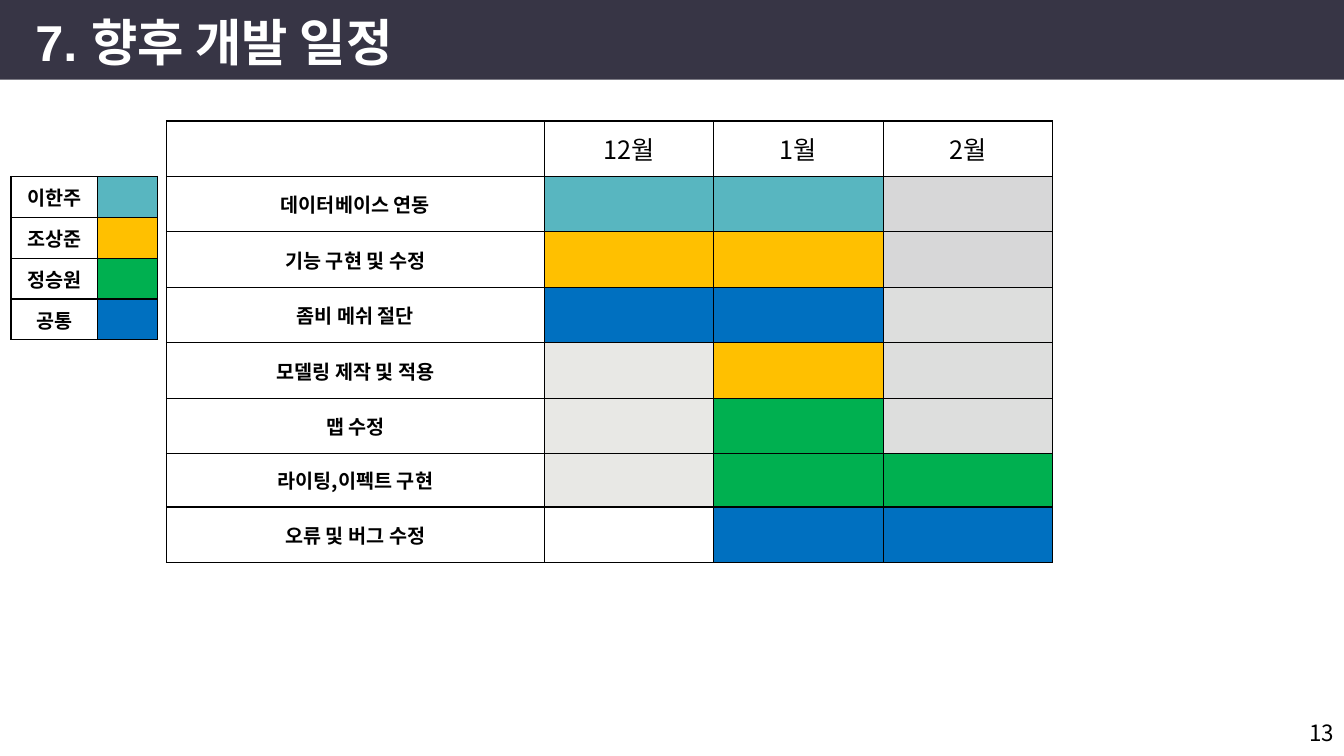
"""Build the development schedule slide with its owner legend."""
import pptx
import pptx.dml.color
import pptx.enum.shapes
import pptx.enum.text
import pptx.oxml
import pptx.oxml.ns
import pptx.util

ANCHOR = pptx.enum.text.MSO_ANCHOR
ALIGN = pptx.enum.text.PP_ALIGN
Inches = pptx.util.Inches
KOREAN = "Noto Sans CJK KR"
TEAL, AMBER, GREEN, BLUE = "58B6C0", "FFC000", "00B050", "0070C0"
SILVER, LIGHT, PALE = "D7D7D8", "DDDEDD", "E8E8E5"


def paint(target, color):
    target.rgb = pptx.dml.color.RGBColor.from_string(color)


def write(frame, text, size=14, font=KOREAN, color="000000", bold=False,
          align=ALIGN.CENTER, anchor=ANCHOR.MIDDLE):
    frame.vertical_anchor = anchor
    para = frame.paragraphs[0]
    para.alignment = align
    span = para.add_run()
    span.text = text
    span.font.size = pptx.util.Pt(size)
    span.font.bold = bold
    span.font.name = font
    paint(span.font.color, color)
    east_asian = pptx.oxml.parse_xml(
        f'<a:ea {pptx.oxml.ns.nsdecls("a")} typeface="{KOREAN}"/>')
    span.font._element.find(pptx.oxml.ns.qn("a:latin")).addnext(east_asian)


deck = pptx.Presentation()
deck.slide_width, deck.slide_height = Inches(13.33), Inches(7.5)
page = deck.slides.add_slide(deck.slide_layouts[5])

banner = page.shapes.add_shape(
    pptx.enum.shapes.MSO_SHAPE.RECTANGLE, 0, 0, deck.slide_width, Inches(0.79))
banner.shadow.inherit = False
banner.fill.solid()
paint(banner.fill.fore_color, "373545")
banner.line.fill.background()

title = page.shapes.title
banner._element.addnext(title._element)
title.left, title.top = Inches(0.25), Inches(0.06)
title.width, title.height = Inches(4.07), Inches(0.71)
title.text_frame.word_wrap = False
title.text_frame.auto_size = pptx.enum.text.MSO_AUTO_SIZE.NONE
write(title.text_frame, "7. 향후 개발 일정", size=36, font="Arial",
      color="FFFFFF", bold=True, align=ALIGN.LEFT, anchor=ANCHOR.TOP)

schedule = [
    ("데이터베이스 연동", TEAL, TEAL, SILVER),
    ("기능 구현 및 수정", AMBER, AMBER, SILVER),
    ("좀비 메쉬 절단", BLUE, BLUE, LIGHT),
    ("모델링 제작 및 적용", PALE, AMBER, LIGHT),
    ("맵 수정", PALE, GREEN, LIGHT),
    ("라이팅,이펙트 구현", PALE, GREEN, GREEN),
    ("오류 및 버그 수정", None, BLUE, BLUE),
]
header = (None, None, None, None)
legend = [("이한주", TEAL), ("조상준", AMBER), ("정승원", GREEN), ("공통", BLUE)]
grids = [
    ([header] + schedule, 1.65, 1.2, [3.75, 1.68, 1.68, 1.68], [0.55] * 6 + [0.53, 0.55]),
    (legend, 0.11, 1.75, [0.86, 0.59], [0.405] * 4),
]

tables = []
for records, left, top, widths, heights in grids:
    table = page.shapes.add_table(
        len(heights), len(widths), Inches(left), Inches(top),
        Inches(sum(widths)), Inches(sum(heights))).table
    table.first_row = table.horz_banding = False
    for column, width in zip(table.columns, widths):
        column.width = Inches(width)
    for row, height, (label, *colors) in zip(table.rows, heights, records):
        row.height = Inches(height)
        for cell, color in zip(row.cells, [None, *colors]):
            borders = cell._tc.get_or_add_tcPr()
            for side in "LRTB":
                borders.append(pptx.oxml.parse_xml(
                    f'<a:ln{side} {pptx.oxml.ns.nsdecls("a")} w="12700"><a:solidFill>'
                    f'<a:srgbClr val="000000"/></a:solidFill></a:ln{side}>'))
            if color:
                cell.fill.solid()
                paint(cell.fill.fore_color, color)
            else:
                cell.fill.background()
        if label:
            row.cells[0].vertical_anchor = ANCHOR.MIDDLE
            write(row.cells[0].text_frame, label, bold=True, anchor=None)
    tables.append(table)

for column, month in enumerate(["12월", "1월", "2월"], start=1):
    cell = tables[0].cell(0, column)
    cell.vertical_anchor = ANCHOR.MIDDLE
    write(cell.text_frame, month, size=18, anchor=None)

number = page.shapes.add_textbox(Inches(10.33), Inches(7.07), Inches(3), Inches(0.4))
number.text_frame.word_wrap = True
write(number.text_frame, "13", size=16, align=ALIGN.RIGHT)

deck.save("out.pptx")
